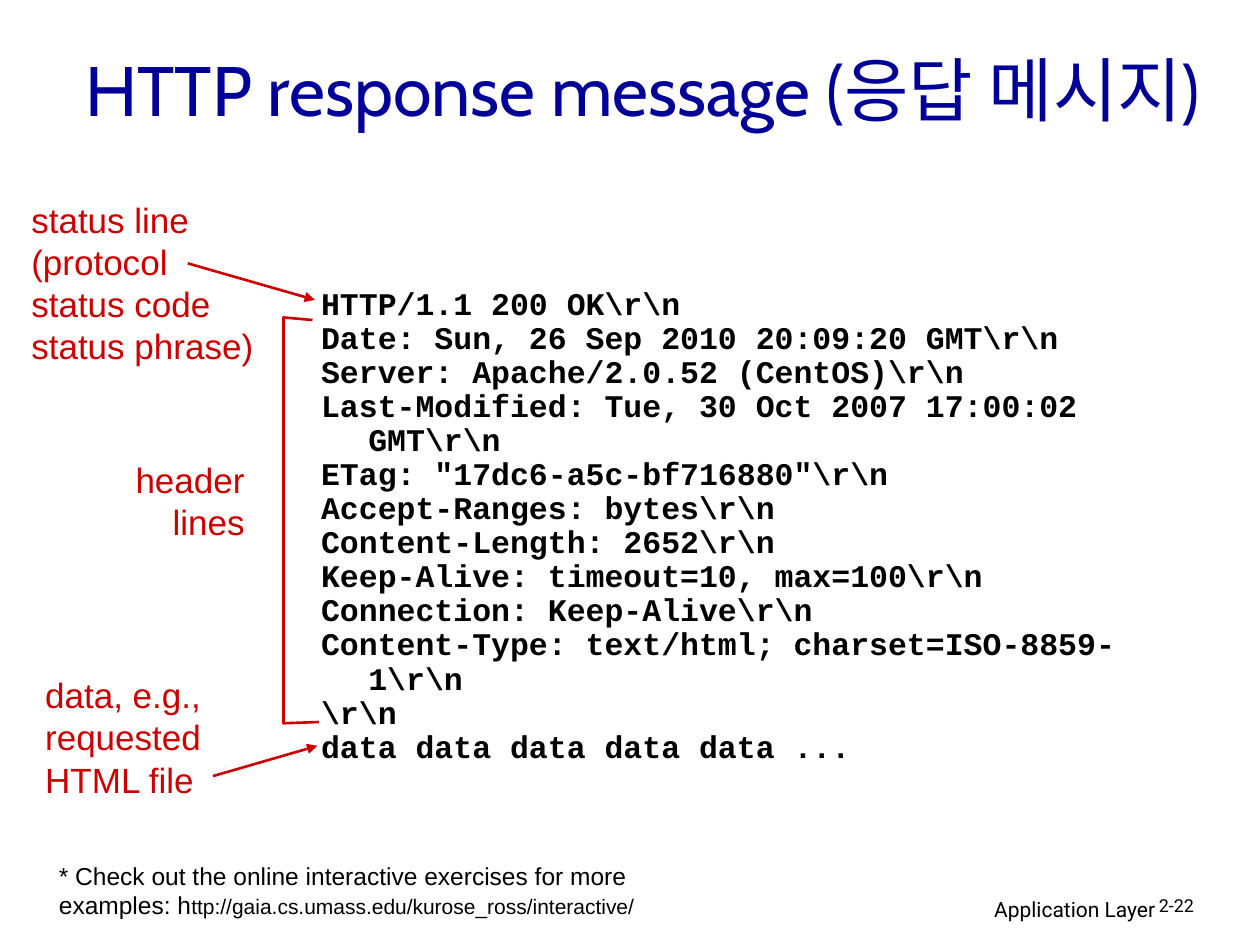
from dataclasses import dataclass
from typing import Optional

from lxml.etree import SubElement
from pptx import Presentation
from pptx.dml.color import RGBColor as RGB
from pptx.enum.text import MSO_ANCHOR as Anchor, MSO_AUTO_SIZE as Fit, PP_ALIGN as Align
from pptx.enum.shapes import MSO_CONNECTOR as Conn
from pptx.oxml.ns import qn
from pptx.util import Pt


@dataclass(frozen=True)
class Style:
    font: str
    size: float
    color: RGB
    bold: bool = False


class Theme:
    BLACK = RGB(0x00, 0x00, 0x00)
    RED = RGB(0xCC, 0x00, 0x00)
    NAVY = RGB(0x00, 0x00, 0x99)
    STROKE = 1.5
    TITLE = Style("Cabin", 40, NAVY)
    LABEL = Style("Arial", 20, RED)
    CODE = Style("Courier New", 18, BLACK, True)
    NOTE = Style("Arial", 14, BLACK)
    URL = Style("Arial", 12, BLACK)
    FOOTER = Style("Roboto", 12, BLACK)
    NUMBER = Style("Roboto", 10.2, BLACK)


@dataclass(frozen=True)
class Run:
    text: str
    style: Style


@dataclass(frozen=True)
class Box:
    left: float
    top: float
    width: float
    height: float
    lines: list[list[Run]]
    align: Align = Align.LEFT
    anchor: Anchor = Anchor.TOP
    wrap: bool = True
    grow: bool = False
    spacing: Optional[float] = None
    hanging: float = 0


@dataclass(frozen=True)
class Arrow:
    x1: float
    y1: float
    x2: float
    y2: float


def lines_of(style: Style, *texts: str) -> list[list[Run]]:
    return [[Run(text, style)] for text in texts]


def add_box(s, box: Box) -> None:
    sp = s.shapes.add_textbox(Pt(box.left), Pt(box.top), Pt(box.width), Pt(box.height))
    tf = sp.text_frame
    tf.word_wrap = box.wrap
    tf.auto_size = Fit.SHAPE_TO_FIT_TEXT if box.grow else Fit.NONE
    tf.vertical_anchor = box.anchor
    for i, line in enumerate(box.lines):
        p = tf.add_paragraph() if i else tf.paragraphs[0]
        p.alignment = box.align
        if box.spacing:
            p.line_spacing = box.spacing
        if box.hanging:
            pPr = p._p.get_or_add_pPr()
            pPr.set("marL", str(Pt(box.hanging)))
            pPr.set("indent", str(-Pt(box.hanging)))
        for run in line:
            r = p.add_run()
            r.text = run.text
            r.font.name = run.style.font
            r.font.size = Pt(run.style.size)
            r.font.bold = run.style.bold
            r.font.color.rgb = run.style.color


def set_stroke(sp) -> None:
    sp.line.color.rgb = Theme.RED
    sp.line.width = Pt(Theme.STROKE)


def add_arrow(s, arrow: Arrow) -> None:
    sp = s.shapes.add_connector(
        Conn.STRAIGHT, Pt(arrow.x1), Pt(arrow.y1), Pt(arrow.x2), Pt(arrow.y2))
    set_stroke(sp)
    SubElement(sp.line._get_or_add_ln(), qn("a:tailEnd"), type="triangle")
    SubElement(sp._element.spPr, qn("a:effectLst"))


def add_bracket(s, points: list[tuple[float, float]]) -> None:
    start, *rest = [(Pt(x), Pt(y)) for x, y in points]
    builder = s.shapes.build_freeform(*start)
    builder.add_line_segments(rest, close=False)
    sp = builder.convert_to_shape()
    sp.shadow.inherit = False
    sp.fill.background()
    set_stroke(sp)


RESPONSE = lines_of(
    Theme.CODE,
    r"HTTP/1.1 200 OK\r\n",
    r"Date: Sun, 26 Sep 2010 20:09:20 GMT\r\n",
    r"Server: Apache/2.0.52 (CentOS)\r\n",
    r"Last-Modified: Tue, 30 Oct 2007 17:00:02 GMT\r\n",
    r'ETag: "17dc6-a5c-bf716880"\r\n',
    r"Accept-Ranges: bytes\r\n",
    r"Content-Length: 2652\r\n",
    r"Keep-Alive: timeout=10, max=100\r\n",
    r"Connection: Keep-Alive\r\n",
    r"Content-Type: text/html; charset=ISO-8859-1\r\n",
    r"\r\n",
    "data data data data data ...",
)

EXERCISES = [[
    Run("* Check out the online interactive exercises for more examples: h", Theme.NOTE),
    Run("ttp://gaia.cs.umass.edu/kurose_ross/interactive/", Theme.URL),
]]

BOXES = [
    Box(439.2, 509, 228.2, 22.3, lines_of(Theme.FOOTER, "Application Layer"), align=Align.RIGHT),
    Box(655.2, 509, 53.3, 21.6, lines_of(Theme.NUMBER, "2-22"), spacing=0.9),
    Box(41.8, 12.2, 664, 77, lines_of(Theme.TITLE, "HTTP response message (응답 메시지)"),
        anchor=Anchor.MIDDLE),
    Box(10.8, 110, 146, 103.7,
        lines_of(Theme.LABEL, "status line", "(protocol", "status code", "status phrase)"),
        wrap=False, grow=True),
    Box(64.9, 258.5, 82, 55.4, lines_of(Theme.LABEL, "header", "lines"),
        align=Align.RIGHT, wrap=False, grow=True),
    Box(18.7, 381.6, 112, 79.2,
        lines_of(Theme.LABEL, "data, e.g.,", "requested", "HTML file"), wrap=False, grow=True),
    Box(176.4, 161.3, 496.8, 279.4, RESPONSE, grow=True, spacing=0.9, hanging=27),
    Box(26.6, 488.2, 355, 41, EXERCISES, grow=True),
]

ARROWS = [Arrow(107.3, 150.5, 180, 171.4), Arrow(121.7, 443.5, 181.4, 426.2)]

HEADER_BRACKET = [(178.6, 182.9), (162, 181.4), (162, 413.3), (182.2, 412.6)]


def main() -> None:
    prs = Presentation()
    prs.slide_width, prs.slide_height = Pt(720), Pt(540)
    s = prs.slides.add_slide(prs.slide_layouts[6])
    for box in BOXES:
        add_box(s, box)
    for arrow in ARROWS:
        add_arrow(s, arrow)
    add_bracket(s, HEADER_BRACKET)
    prs.save("out.pptx")


if __name__ == "__main__":
    main()
